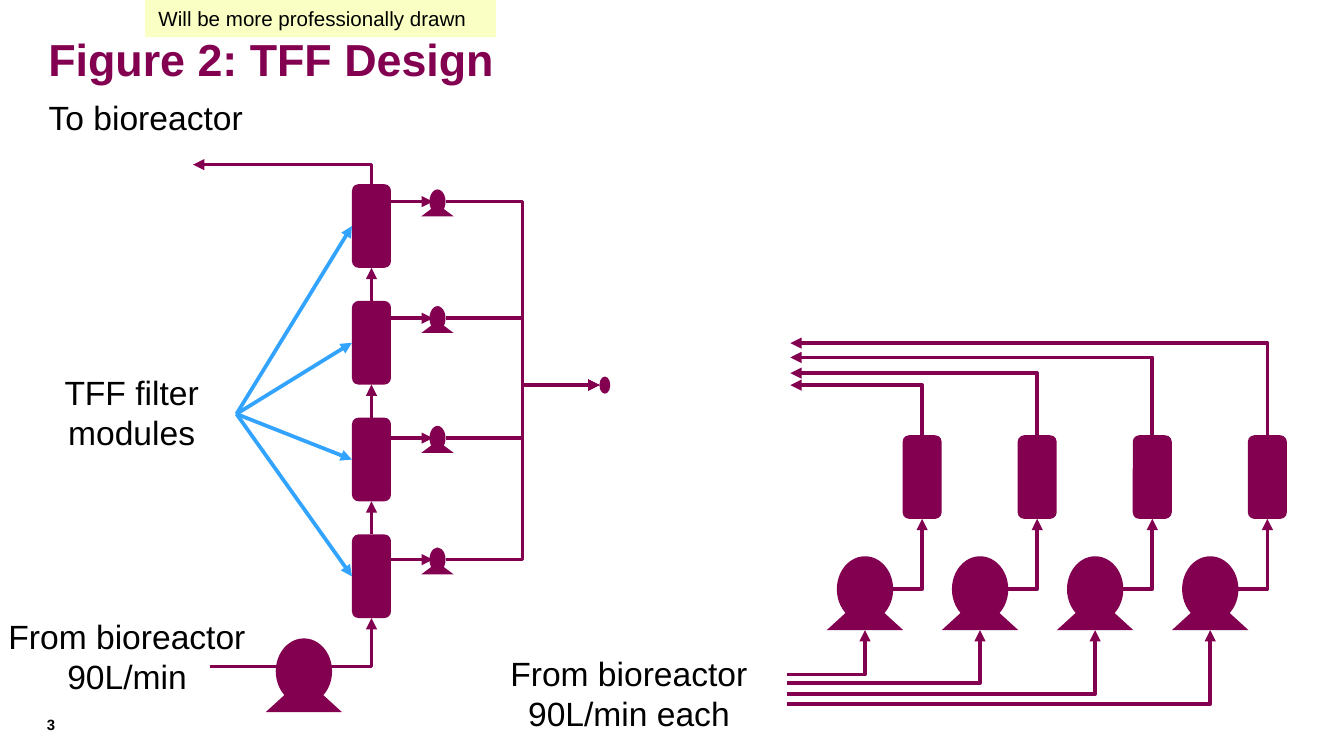
"""Builds the TFF design slide: modules in series on the left, in parallel on the right."""
from lxml import etree
from pptx import Presentation
from pptx.dml.color import RGBColor
from pptx.enum.shapes import MSO_CONNECTOR, MSO_SHAPE
from pptx.enum.text import MSO_ANCHOR, PP_ALIGN
from pptx.oxml.ns import qn
from pptx.util import Pt

STRAIGHT, ELBOW = MSO_CONNECTOR.STRAIGHT, MSO_CONNECTOR.ELBOW
RECTANGLE, ROUNDED = MSO_SHAPE.RECTANGLE, MSO_SHAPE.ROUNDED_RECTANGLE
OVAL, TRIANGLE = MSO_SHAPE.OVAL, MSO_SHAPE.ISOSCELES_TRIANGLE
LEFT, CENTER = PP_ALIGN.LEFT, PP_ALIGN.CENTER
TOP, MIDDLE = MSO_ANCHOR.TOP, MSO_ANCHOR.MIDDLE
TOP_SIDE, LEFT_SIDE, BOTTOM_SIDE = 0, 1, 2

PLUM = RGBColor(0x83, 0x00, 0x51)
SKY = RGBColor(0x32, 0xA4, 0xFF)
CREAM = RGBColor(0xFA, 0xFF, 0xC4)
BLACK = RGBColor(0, 0, 0)

TITLE = "Figure 2: TFF Design"
NOTE = "Will be more professionally drawn"
PAGE_NUMBER = "3"
LABELS = [
    (["TFF filter modules"], (14.4, 195.8, 112.3, 51.1)),
    (["From bioreactor", "90L/min"], (-25.2, 326.2, 186.5, 51.1)),
    (["To bioreactor"], (12.2, 48.2, 131.8, 28.8)),
    (["From bioreactor", "90L/min each"], (255.6, 346.3, 162.7, 51.1)),
]

MODULE_W, MODULE_H = 20.9, 44.8
SERIES_X, SERIES_TOP, SERIES_STEP = 199, 98.7, 62.55
PERMEATE_X, PERMEATE_LEVELS = 234.4, [108, 170.5, 234.7, 299.8]
OUTLET = (321.1, 206.3)
HUB = (126.7, 221.8)

PARALLEL_X, PARALLEL_TOP, PARALLEL_STEP = 494, 233.2, 61.65
PARALLEL_PUMP_X, PARALLEL_PUMP_TOP = 463.4, 298
RETURN_LEVELS, RETURN_END = [206.3, 199.9, 191.5, 183.8], 423.4
FEED_LEVELS, FEED_START = [361.4, 366, 371.8, 377.2], 421.8

BIG_PUMP = {"oval": (30.2, 35.3), "foot": (41, 18.7), "drop": 20.9}
SMALL_PUMP = {"oval": (8.6, 13), "foot": (17.3, 6.5), "drop": 7.9}


def write(shape, lines, size=18, color=BLACK, bold=False, align=LEFT, anchor=TOP, inset=True):
    frame = shape.text_frame
    frame.word_wrap = True
    frame.vertical_anchor = anchor
    if not inset:
        frame.margin_left = frame.margin_right = frame.margin_top = frame.margin_bottom = 0
    for index, line in enumerate(lines):
        para = frame.add_paragraph() if index else frame.paragraphs[0]
        para.alignment = align
        span = para.add_run()
        span.text = line
        span.font.name, span.font.size = "Arial", Pt(size)
        span.font.bold, span.font.color.rgb = bold, color


def add_box(shapes, kind, left, top, width, height, color=PLUM):
    box = shapes.add_shape(kind, Pt(left), Pt(top), Pt(width), Pt(height))
    box.shadow.inherit = False
    box.fill.solid()
    box.fill.fore_color.rgb = color
    box.line.fill.background()
    return box


def add_module(shapes, center, top):
    return add_box(shapes, ROUNDED, center - MODULE_W / 2, top, MODULE_W, MODULE_H)


def add_pump(shapes, center, top, oval, foot, drop):
    add_box(shapes, OVAL, center - oval[0] / 2, top, *oval)
    add_box(shapes, TRIANGLE, center - foot[0] / 2, top + drop, *foot)


def add_arrow(shapes, start, end, kind=STRAIGHT, color=PLUM, corner=False, arrow="tailEnd"):
    link = shapes.add_connector(kind, *(Pt(value) for value in (*start, *end)))
    link.line.color.rgb = color
    link.line.width = Pt(2)
    properties = link._element.spPr
    if corner:
        properties.find(qn("a:prstGeom")).set("prst", "bentConnector2")
    etree.SubElement(properties.find(qn("a:ln")), qn("a:" + arrow), type="triangle")
    etree.SubElement(properties, qn("a:effectLst"))
    return link


def add_corner(shapes, start, end, arrow="tailEnd"):
    add_arrow(shapes, start, end, kind=ELBOW, corner=True, arrow=arrow)


def draw_series(shapes):
    modules = [add_module(shapes, SERIES_X, SERIES_TOP + row * SERIES_STEP) for row in range(4)]
    for upper, lower in zip(modules, modules[1:]):
        link = add_arrow(shapes, (SERIES_X, 0), (SERIES_X, 0))
        link.begin_connect(lower, TOP_SIDE)
        link.end_connect(upper, BOTTOM_SIDE)
    for module, level in zip(modules, PERMEATE_LEVELS):
        width, height = SMALL_PUMP["oval"]
        add_arrow(shapes, (SERIES_X + MODULE_W / 2, level), (PERMEATE_X - 2.5, level))
        add_pump(shapes, PERMEATE_X, level - height / 2, **SMALL_PUMP)
        add_arrow(shapes, (PERMEATE_X + width / 2, level), OUTLET, kind=ELBOW)
        add_arrow(shapes, HUB, HUB, color=SKY).end_connect(module, LEFT_SIDE)
    add_box(shapes, OVAL, OUTLET[0], OUTLET[1] - 4.6, 5.8, 9.2)
    bottom = SERIES_TOP + 3 * SERIES_STEP + MODULE_H
    add_corner(shapes, (112.3, 357.1), (SERIES_X, bottom))
    add_corner(shapes, (103.4, 88.2), (SERIES_X, SERIES_TOP), arrow="headEnd")
    add_pump(shapes.add_group_shape().shapes, 162.8, 342, **BIG_PUMP)


def draw_parallel(shapes):
    width, height = BIG_PUMP["oval"]
    foot_bottom = PARALLEL_PUMP_TOP + BIG_PUMP["drop"] + BIG_PUMP["foot"][1]
    for column, (back, feed) in enumerate(zip(RETURN_LEVELS, FEED_LEVELS)):
        shift = column * PARALLEL_STEP
        module_x, pump_x = PARALLEL_X + shift, PARALLEL_PUMP_X + shift
        add_module(shapes, module_x, PARALLEL_TOP)
        add_pump(shapes.add_group_shape().shapes, pump_x, PARALLEL_PUMP_TOP, **BIG_PUMP)
        add_corner(shapes, (pump_x + width / 2, PARALLEL_PUMP_TOP + height / 2),
                   (module_x, PARALLEL_TOP + MODULE_H))
        add_corner(shapes, (FEED_START, feed), (pump_x, foot_bottom))
        add_corner(shapes, (RETURN_END, back), (module_x, PARALLEL_TOP), arrow="headEnd")


def main():
    deck = Presentation()
    deck.slide_width, deck.slide_height = Pt(720), Pt(405)
    page = deck.slides.add_slide(deck.slide_layouts[5])
    shapes = page.shapes

    title = shapes.title
    title.left, title.top, title.width, title.height = Pt(18.7), Pt(11.5), Pt(690.5), Pt(39.6)
    write(title, [TITLE], size=24, color=PLUM, bold=True, anchor=MIDDLE)
    for lines, place in LABELS:
        write(shapes.add_textbox(*map(Pt, place)), lines, align=CENTER)
    number = shapes.add_textbox(Pt(25.2), Pt(381.6), Pt(31), Pt(13))
    write(number, [PAGE_NUMBER], size=8, bold=True, anchor=MIDDLE, inset=False)

    draw_series(shapes)
    draw_parallel(shapes)
    note = add_box(shapes, RECTANGLE, 77.8, -0.7, 187.9, 20.6, color=CREAM)
    write(note, [NOTE], size=11, anchor=MIDDLE)
    deck.save("out.pptx")


if __name__ == "__main__":
    main()
